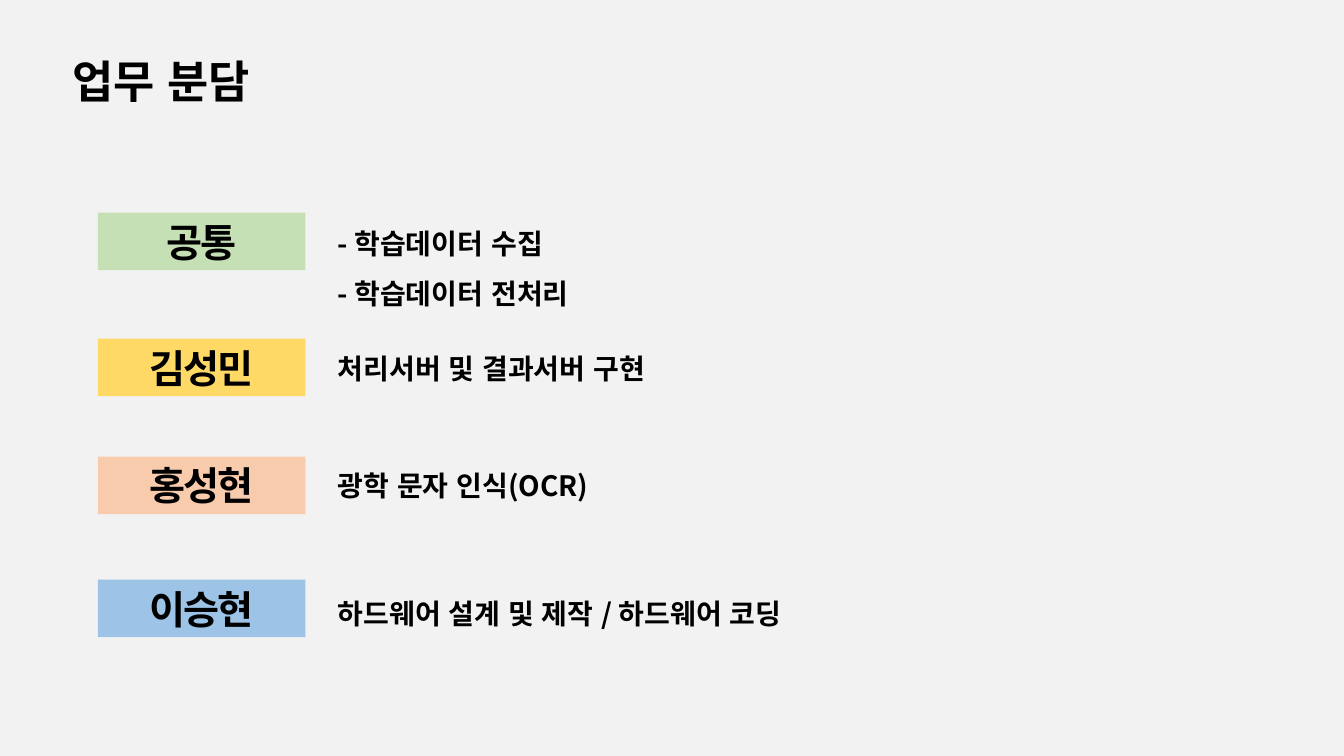
from dataclasses import dataclass

from lxml import etree
from pptx import Presentation, util as u
from pptx.dml.color import RGBColor
from pptx.enum import lang, shapes, text
from pptx.oxml.ns import qn

WIDTH, HEIGHT = u.Inches(13.33), u.Inches(7.5)
COLUMN, ROW = WIDTH / 100, HEIGHT / 100
FONT = "Noto Sans CJK KR"
INK, PAPER = "000000", "F2F2F2"

OWNER_LEFT, OWNER_WIDTH, OWNER_HEIGHT = 7.28, 15.45, 7.6
TASK_LEFT, TASK_WIDTH = 24.38, 40.36


@dataclass(frozen=True)
class Area:
    """A place on the slide, in columns and rows of a 100 by 100 grid."""
    left: float
    top: float
    width: float
    height: float

    def emu(self) -> tuple[int, int, int, int]:
        return (round(self.left * COLUMN), round(self.top * ROW),
                round(self.width * COLUMN), round(self.height * ROW))


@dataclass(frozen=True)
class Duty:
    owner: str
    color: str
    owner_top: float
    tasks: tuple[str, ...]
    task_top: float
    task_height: float = 5.87
    spacing: float | None = None


DUTIES = (
    Duty("공통", "C5E0B4", 28.13, ("- 학습데이터 수집", "- 학습데이터 전처리"), 27.07, 14.13, 1.5),
    Duty("김성민", "FFD966", 44.8, ("처리서버 및 결과서버 구현",), 45.87),
    Duty("홍성현", "F8CBAD", 60.4, ("광학 문자 인식(OCR)",), 61.33),
    Duty("이승현", "9DC3E6", 76.67, ("하드웨어 설계 및 제작 / 하드웨어 코딩",), 76, 7.33, 1.5),
)


def paint(fill, color: str) -> None:
    fill.solid()
    fill.fore_color.rgb = RGBColor.from_string(color)


def write(frame, lines: tuple[str, ...], size: int, spacing: float | None = None,
          align=text.PP_ALIGN.LEFT, tracking: float = 0) -> None:
    """Fill a text frame with bold lines; tracking is in points."""
    frame.word_wrap = True
    frame.auto_size = text.MSO_AUTO_SIZE.SHAPE_TO_FIT_TEXT
    frame.text = "\n".join(lines)
    for paragraph in frame.paragraphs:
        paragraph.alignment = align
        paragraph.line_spacing = spacing
        font = paragraph.font
        font.name, font.size, font.bold = FONT, u.Pt(size), True
        font.language_id = lang.MSO_LANGUAGE_ID.KOREAN
        paint(font.fill, INK)
        properties = paragraph._p.pPr.find(qn("a:defRPr"))
        etree.SubElement(properties, qn("a:ea")).set("typeface", FONT)
        if tracking:
            properties.set("spc", str(round(tracking * 100)))


def add_words(slide, area: Area, lines: tuple[str, ...], size: int,
              spacing: float | None = None) -> None:
    write(slide.shapes.add_textbox(*area.emu()).text_frame, lines, size, spacing)


def add_duty(slide, duty: Duty) -> None:
    area = Area(OWNER_LEFT, duty.owner_top, OWNER_WIDTH, OWNER_HEIGHT)
    owner = slide.shapes.add_shape(shapes.MSO_SHAPE.RECTANGLE, *area.emu())
    owner.shadow.inherit = False
    paint(owner.fill, duty.color)
    owner.line.fill.background()
    write(owner.text_frame, (duty.owner,), 28, align=text.PP_ALIGN.CENTER, tracking=-1.5)
    add_words(slide, Area(TASK_LEFT, duty.task_top, TASK_WIDTH, duty.task_height),
              duty.tasks, 20, duty.spacing)


def main() -> None:
    deck = Presentation()
    deck.slide_width, deck.slide_height = WIDTH, HEIGHT
    slide = deck.slides.add_slide(deck.slide_layouts[6])
    paint(slide.background.fill, PAPER)
    for duty in DUTIES:
        add_duty(slide, duty)
    add_words(slide, Area(4.65, 6.4, 79.07, 8.53), ("업무 분담",), 32)
    deck.save("out.pptx")


if __name__ == "__main__":
    main()
